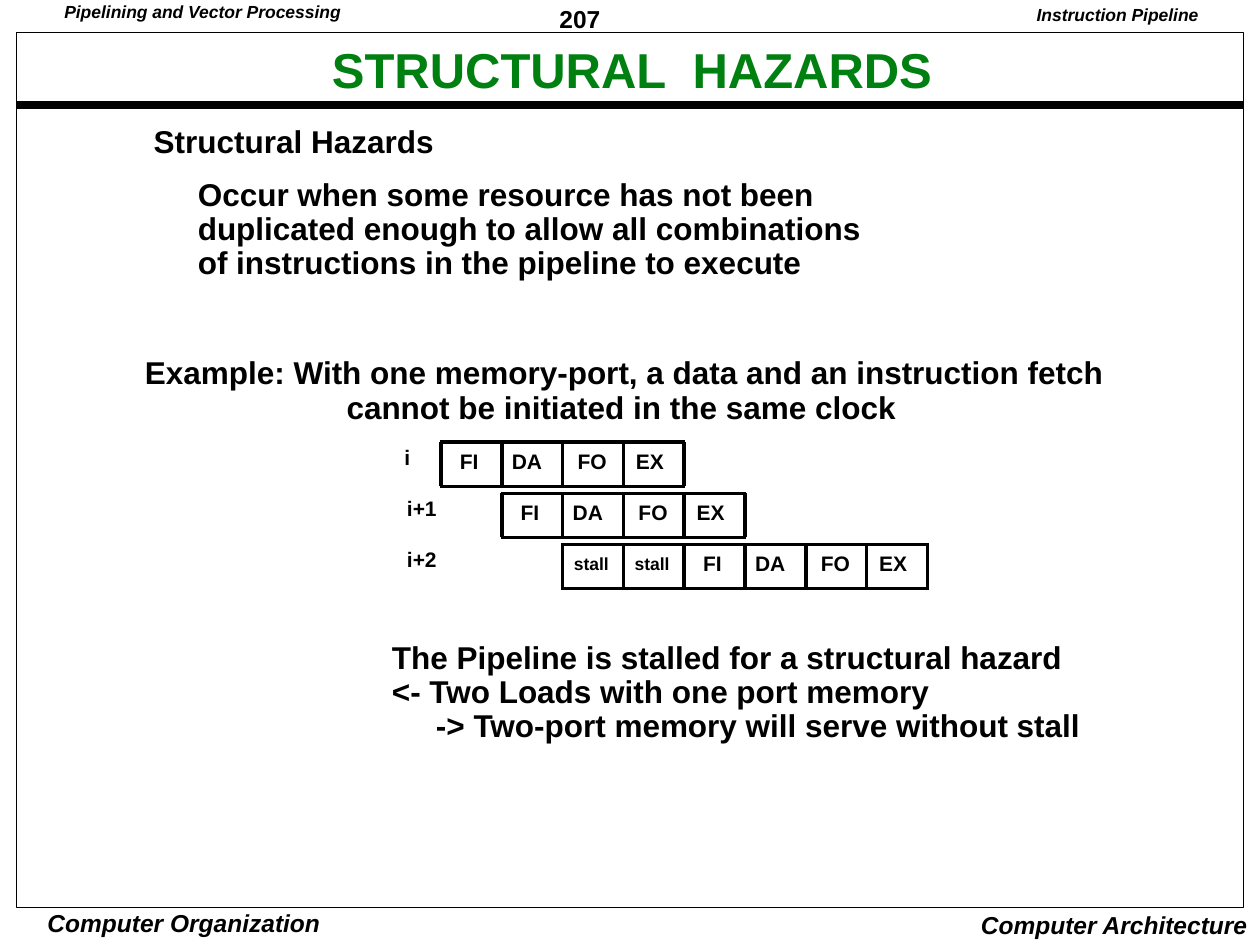
from lxml import etree
from pptx import Presentation, util as u
from pptx.dml.color import RGBColor
from pptx.enum import shapes, text
from pptx.oxml.ns import qn

BLACK, GREEN = "000000", "008011"
LEFT, CENTER, RIGHT = text.PP_ALIGN.LEFT, text.PP_ALIGN.CENTER, text.PP_ALIGN.RIGHT

TITLE = "STRUCTURAL  HAZARDS"

# words, place (left, top, width, height), size, italic, alignment, insets, line spacing
MARGINALIA = [
    ("207", (4.37, 0, 1.08, 0.29), 14, False, LEFT, (0.07, 0.03), 1),
    ("Computer Organization", (0.31, 7.2, 2.3, 0.26), 14, True, CENTER, (0.03, 0.01), 1),
    ("Computer Architecture", (7.63, 7.17, 2.37, 0.33), 14, True, RIGHT, (0.1, 0.05), 1),
    ("Pipelining and Vector Processing", (0.44, 0, 2.38, 0.21), 10, True, LEFT, (0.07, 0.03), 0.9),
    ("Instruction Pipeline", (8.08, 0, 1.53, 0.25), 10, True, RIGHT, (0.1, 0.05), 0.9),
]

# place, then lines of (words, indent in inches, space before in points)
BODY = [
    ((1.15, 0.97, 5.82, 1.29), [
        ("Structural Hazards", 0, 0),
        ("Occur when some resource has not been", 0.35, 11),
        ("duplicated enough to allow all combinations", 0.35, 0),
        ("of instructions in the pipeline to execute", 0.35, 0)]),
    ((1.08, 2.81, 7.82, 0.6), [
        ("Example: With one memory-port, a data and an instruction fetch", 0, 0),
        ("cannot be initiated in the same clock", 1.6, 0)]),
    ((3.04, 5.07, 5.62, 0.87), [
        ("The Pipeline is stalled for a structural hazard", 0, 0),
        ("<- Two Loads with one port memory", 0, 0),
        ("-> Two-port memory will serve without stall", 0.35, 0)]),
]

# label, label left, first clock, stages
PIPELINE = [
    ("i", 3.21, 0, ["FI", "DA", "FO", "EX"]),
    ("i+1", 3.23, 1, ["FI", "DA", "FO", "EX"]),
    ("i+2", 3.23, 2, ["stall", "stall", "FI", "DA", "FO", "EX"]),
]
# stage: (offset in its cell, width, size)
STAGES = {"FI": (0.15, 0.19, 12), "DA": (0.08, 0.28, 12), "FO": (0.12, 0.28, 12),
          "EX": (0.1, 0.27, 12), "stall": (0.09, 0.33, 10)}
GRID_LEFT, GRID_TOP = 3.5, 3.51
CLOCK_W = 3.86 / 8
ROW_STEP, CELL_H = 0.405, 0.35


def rgb(value):
    return RGBColor.from_string(value)


def inches(values):
    return [u.Inches(v) for v in values]


def add_line(slide, start, end, width):
    line = slide.shapes.add_connector(shapes.MSO_CONNECTOR.STRAIGHT, *inches(start + end))
    line.line.color.rgb = rgb(BLACK)
    line.line.width = u.Pt(width)
    etree.SubElement(line._element.spPr, qn("a:effectLst"))


def style(paragraph, size, color=BLACK, italic=False, align=LEFT, spacing=0.9):
    paragraph.alignment = align
    paragraph.line_spacing = spacing
    font = paragraph.font
    font.name, font.size, font.bold, font.italic = "Arial", u.Pt(size), True, italic
    font.color.rgb = rgb(color)


def set_frame(frame, insets, wrap):
    frame.margin_left = frame.margin_right = u.Inches(insets[0])
    frame.margin_top = frame.margin_bottom = u.Inches(insets[1])
    frame.word_wrap = wrap


def add_text(slide, place, lines, size, insets=(0, 0), wrap=False, **look):
    frame = slide.shapes.add_textbox(*inches(place)).text_frame
    set_frame(frame, insets, wrap)
    for number, (words, indent, before) in enumerate(lines):
        paragraph = frame.add_paragraph() if number else frame.paragraphs[0]
        paragraph.text = words
        if indent:
            properties = paragraph._p.get_or_add_pPr()
            properties.set("marL", str(u.Inches(indent)))
            properties.set("indent", "0")
        if before:
            paragraph.space_before = u.Pt(before)
        style(paragraph, size, **look)


def add_page(slide):
    add_line(slide, (0.13, 0.83), (9.87, 0.83), 4.5)
    border = slide.shapes.add_shape(shapes.MSO_SHAPE.RECTANGLE, *inches((0.13, 0.26, 9.74, 6.94)))
    border.shadow.inherit = False
    border.fill.background()
    border.line.color.rgb = rgb(BLACK)
    border.line.width = u.Pt(0.5)
    for words, place, size, italic, align, insets, spacing in MARGINALIA:
        add_text(slide, place, [(words, 0, 0)], size, insets,
                 italic=italic, align=align, spacing=spacing)


def add_title(slide):
    title = slide.shapes.title
    title.left, title.top, title.width, title.height = inches((0.72, 0.27, 8.59, 0.61))
    frame = title.text_frame
    frame.text = TITLE
    set_frame(frame, (0.1, 0.05), True)
    frame.auto_size = text.MSO_AUTO_SIZE.NONE
    frame.vertical_anchor = text.MSO_ANCHOR.MIDDLE
    style(frame.paragraphs[0], 28, GREEN, align=CENTER)


def add_pipeline(slide):
    for row, (label, label_left, first, stages) in enumerate(PIPELINE):
        top = GRID_TOP + row * ROW_STEP
        bottom = top + CELL_H
        edges = [GRID_LEFT + (first + n) * CLOCK_W for n in range(len(stages) + 1)]
        for y in (top, bottom):
            add_line(slide, (edges[0] - 0.01, y), (edges[-1] + 0.01, y), 2)
        for x in edges:
            add_line(slide, (x, top), (x, bottom), 2)
        add_text(slide, (label_left, top + 0.04, 0.09 * len(label) + 0.01, 0.18),
                 [(label, 0, 0)], 12)
        for stage, x in zip(stages, edges):
            offset, width, size = STAGES[stage]
            drop = 0.07 if size == 12 else 0.09
            add_text(slide, (x + offset, top + drop, width, size * 0.015), [(stage, 0, 0)], size)


def main():
    deck = Presentation()
    deck.slide_width, deck.slide_height = inches((10, 7.5))
    slide = deck.slides.add_slide(deck.slide_layouts[5])
    add_page(slide)
    add_title(slide)
    for place, lines in BODY:
        add_text(slide, place, lines, 18, (0.07, 0.03), wrap=True)
    add_pipeline(slide)
    deck.save("out.pptx")


if __name__ == "__main__":
    main()
